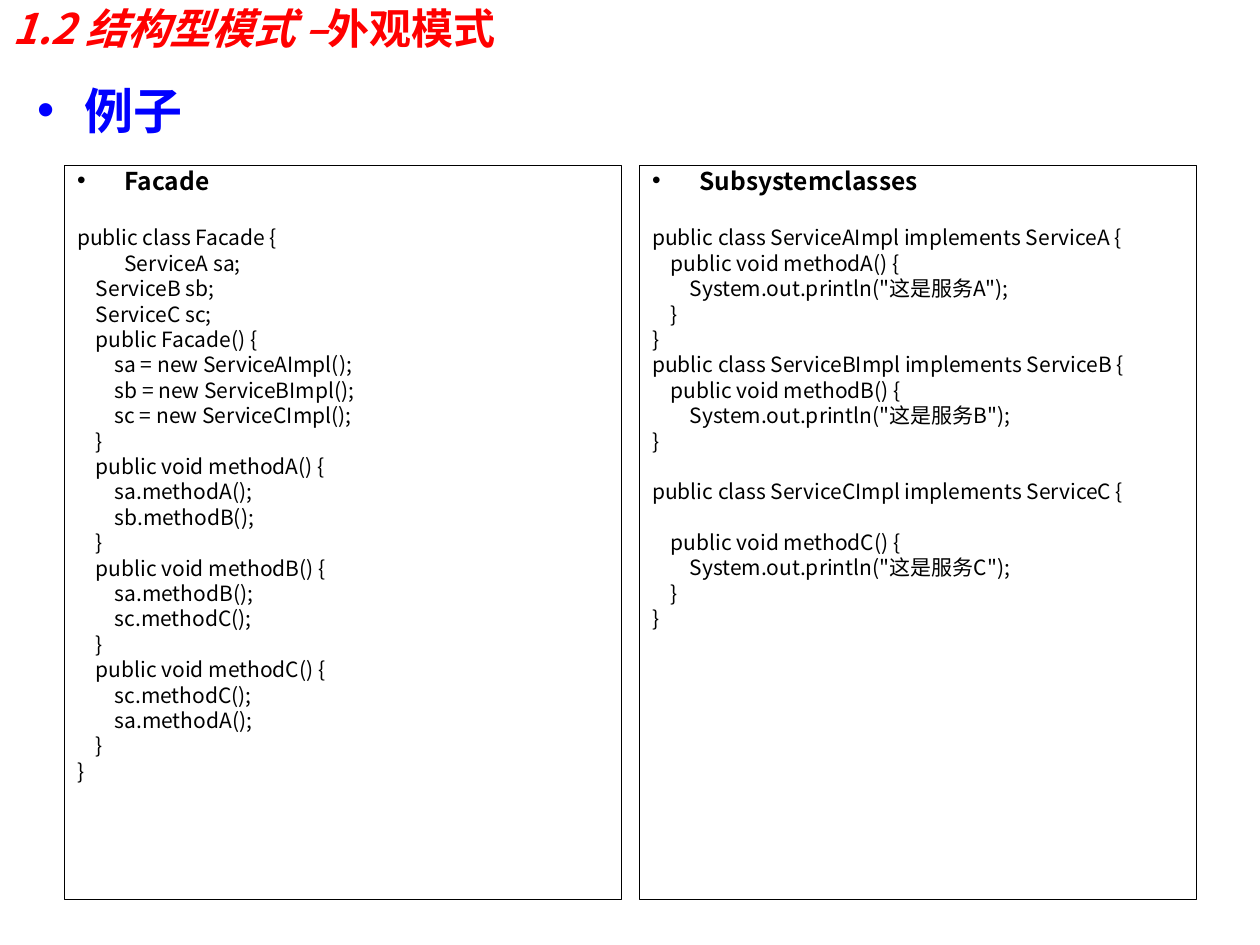
from dataclasses import dataclass

from lxml import etree
from pptx import Presentation, util as u
from pptx.dml.color import RGBColor
from pptx.enum import shapes, text
from pptx.oxml.ns import qn


@dataclass(frozen=True)
class Theme:
    red: RGBColor = RGBColor(255, 0, 0)
    blue: RGBColor = RGBColor(0, 0, 255)
    black: RGBColor = RGBColor(0, 0, 0)
    latin: str = "Calibri"
    cjk: str = "Noto Sans CJK SC"
    title: int = 24
    topic: int = 28
    heading: int = 14
    code: int = 12


theme = Theme()
HANGING = 27
LINE_GAP = 3
BLANK_LINE = 14.5
HEADING_GAP = 19.9

FACADE = """public class Facade {
\tServiceA sa;
    ServiceB sb;
    ServiceC sc;
    public Facade() {
        sa = new ServiceAImpl();
        sb = new ServiceBImpl();
        sc = new ServiceCImpl();
    }
    public void methodA() {
        sa.methodA();
        sb.methodB();
    }
    public void methodB() {
        sa.methodB();
        sc.methodC();
    }
    public void methodC() {
        sc.methodC();
        sa.methodA();
    }
}"""

SUBSYSTEM = """public class ServiceAImpl implements ServiceA {
    public void methodA() {
        System.out.println("这是服务A");
    }
}
public class ServiceBImpl implements ServiceB {
    public void methodB() {
        System.out.println("这是服务B");
}

public class ServiceCImpl implements ServiceC {

    public void methodC() {
        System.out.println("这是服务C");
    }
}"""


def style(font, face, size, color, bold):
    font.name, font.size, font.bold = face, u.Pt(size), bold
    font.color.rgb = color


def hang(paragraph, bullet):
    paragraph.line_spacing = 0.8
    props = paragraph._p.get_or_add_pPr()
    props.set("marL", str(u.Pt(HANGING)))
    props.set("indent", str(u.Pt(-HANGING)))
    if bullet:
        etree.SubElement(props, qn("a:buFont"), typeface="Arial")
        etree.SubElement(props, qn("a:buChar"), char="•")
    else:
        etree.SubElement(props, qn("a:buNone"))


prs = Presentation()
prs.slide_width, prs.slide_height = u.Pt(720), u.Pt(540)
slide = prs.slides.add_slide(prs.slide_layouts[6])

title = slide.shapes.add_textbox(u.Pt(0), u.Pt(0), u.Pt(648), u.Pt(31.5)).text_frame
title.word_wrap = True
title.vertical_anchor = text.MSO_ANCHOR.MIDDLE
for words, face, italic in (("1.2 结构型模式 –", theme.cjk, True), ("外观模式", theme.latin, False)):
    run = title.paragraphs[0].add_run()
    run.text = words
    style(run.font, face, theme.title, theme.red, True)
    run.font.italic = italic

topic = slide.shapes.add_textbox(u.Pt(14.2), u.Pt(49), u.Pt(255), u.Pt(75)).text_frame
topic.word_wrap = True
example = topic.paragraphs[0]
example.text = "例子"
hang(example, True)
style(example.font, theme.latin, theme.topic, theme.blue, True)

for left, heading, code in ((37, "Facade", FACADE), (365.6, "Subsystemclasses", SUBSYSTEM)):
    panel = slide.shapes.add_shape(
        shapes.MSO_SHAPE.RECTANGLE, u.Pt(left), u.Pt(94.4), u.Pt(318.2), u.Pt(419.5))
    panel.shadow.inherit = False
    panel.fill.background()
    panel.line.color.rgb = theme.black
    panel.line.width = u.Pt(0.75)
    frame = panel.text_frame
    frame.word_wrap = True
    frame.vertical_anchor = text.MSO_ANCHOR.TOP

    label = frame.paragraphs[0]
    label.text = heading
    label.alignment = text.PP_ALIGN.LEFT
    hang(label, True)
    style(label.font, theme.cjk, theme.heading, theme.black, True)

    gap = HEADING_GAP
    for line in code.split("\n"):
        if not line:
            gap += BLANK_LINE
            continue
        statement = frame.add_paragraph()
        statement.text = line
        statement.alignment = text.PP_ALIGN.LEFT
        statement.space_before = u.Pt(gap)
        hang(statement, False)
        style(statement.font, theme.cjk, theme.code, theme.black, False)
        gap = LINE_GAP

prs.save("out.pptx")
